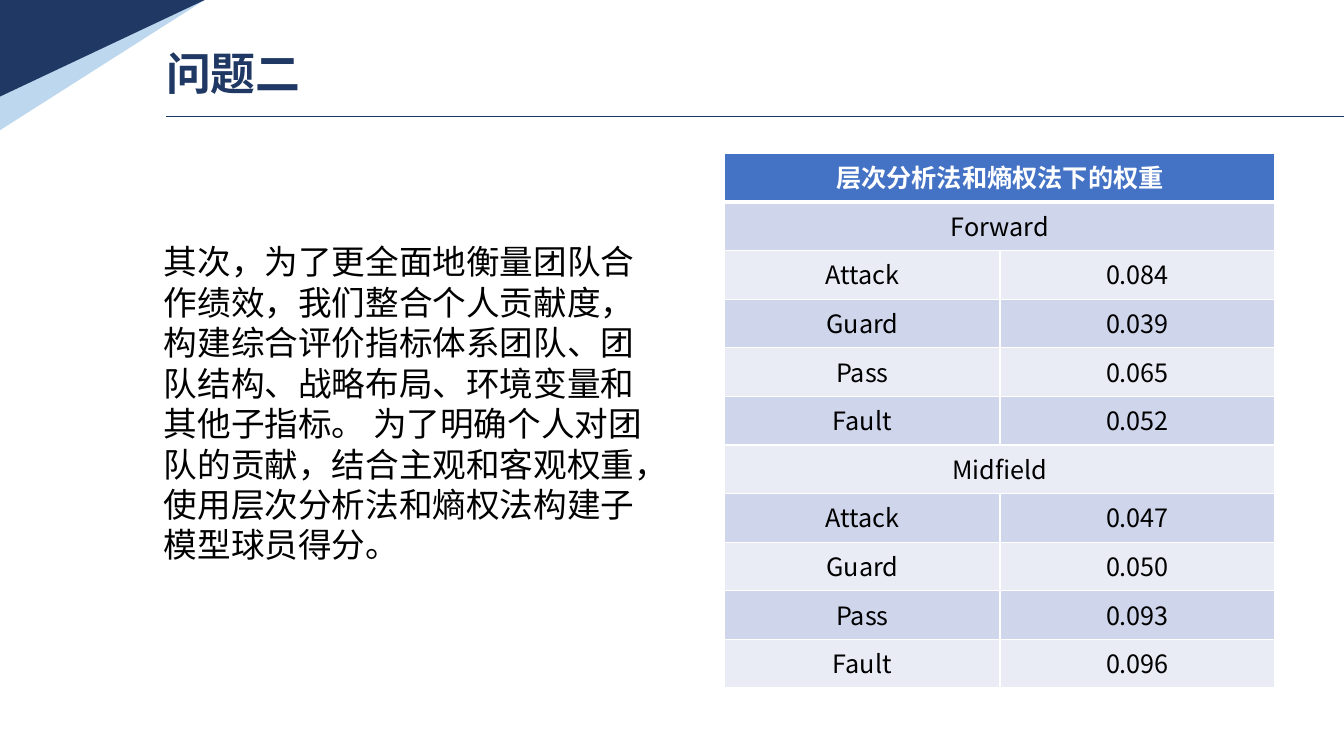
import dataclasses

import lxml.etree
import pptx
import pptx.dml.color
import pptx.enum.shapes
import pptx.enum.text
import pptx.oxml.ns
import pptx.util

Pt = pptx.util.Pt
qn = pptx.oxml.ns.qn

COLORS = {
    "navy": "203864", "sky": "BDD7EE", "header": "4472C4", "band_dark": "CFD5EA",
    "band_light": "E9EBF5", "white": "FFFFFF", "black": "000000",
}
CJK_FONT = "Noto Sans CJK SC"
SLIDE_WIDTH, SLIDE_HEIGHT = 960, 540


@dataclasses.dataclass
class TextStyle:
    size: float
    color: str
    font: str = CJK_FONT
    bold: bool = False


@dataclasses.dataclass
class TextBlock:
    text: str
    left: float
    top: float
    width: float
    height: float
    style: TextStyle
    margin_x: float
    margin_y: float
    line_spacing: object


@dataclasses.dataclass
class Corner:
    width: float
    height: float
    color: str


@dataclasses.dataclass
class WeightGroup:
    position: str
    weights: dict[str, str]


def rgb(name: str) -> pptx.dml.color.RGBColor:
    return pptx.dml.color.RGBColor.from_string(COLORS[name])


def style_paragraph(paragraph, style: TextStyle) -> None:
    for run in paragraph.runs:
        run.font.size = Pt(style.size)
        run.font.name = style.font
        run.font.bold = style.bold
        run.font.color.rgb = rgb(style.color)
        east_asian = lxml.etree.Element(qn("a:ea"), typeface=CJK_FONT)
        run.font._element.find(qn("a:latin")).addnext(east_asian)


def add_corner(slide, corner: Corner) -> None:
    builder = slide.shapes.build_freeform(0, 0)
    builder.add_line_segments([(Pt(corner.width), 0), (0, Pt(corner.height))], close=True)
    shape = builder.convert_to_shape()
    shape.shadow.inherit = False
    shape.fill.solid()
    shape.fill.fore_color.rgb = rgb(corner.color)
    shape.line.fill.background()


def add_rule(slide, left: float, right: float, top: float) -> None:
    connector = slide.shapes.add_connector(
        pptx.enum.shapes.MSO_CONNECTOR.STRAIGHT, Pt(left), Pt(top), Pt(right), Pt(top))
    connector.line.color.rgb = rgb("navy")
    connector.line.width = Pt(1)
    lxml.etree.SubElement(connector._element.spPr, qn("a:effectLst"))


def add_text(slide, block: TextBlock) -> None:
    box = slide.shapes.add_textbox(
        Pt(block.left), Pt(block.top), Pt(block.width), Pt(block.height))
    frame = box.text_frame
    frame.word_wrap = True
    frame.margin_left = frame.margin_right = Pt(block.margin_x)
    frame.margin_top = frame.margin_bottom = Pt(block.margin_y)
    frame.text = block.text
    paragraph = frame.paragraphs[0]
    paragraph.line_spacing = block.line_spacing
    style_paragraph(paragraph, block.style)


def set_borders(cell, bottom_width: float) -> None:
    properties = cell._tc.get_or_add_tcPr()
    widths = {"a:lnL": 1, "a:lnR": 1, "a:lnT": 1, "a:lnB": bottom_width}
    for index, (tag, width) in enumerate(widths.items()):
        border = lxml.etree.Element(qn(tag), w=str(Pt(width)))
        fill = lxml.etree.SubElement(border, qn("a:solidFill"))
        lxml.etree.SubElement(fill, qn("a:srgbClr"), val=COLORS["white"])
        properties.insert(index, border)


def add_weight_table(slide, title: str, groups: list[WeightGroup]) -> None:
    rows = [(title,)]
    for group in groups:
        rows.append((group.position,))
        rows.extend(group.weights.items())
    row_height, column_width = 34.75, 196.5
    table = slide.shapes.add_table(
        len(rows), 2, Pt(517.75), Pt(109.5),
        Pt(2 * column_width), Pt(len(rows) * row_height)).table
    for column in table.columns:
        column.width = Pt(column_width)
    for row_index, values in enumerate(rows):
        table.rows[row_index].height = Pt(row_height)
        is_header = row_index == 0
        band = "header" if is_header else ("band_light", "band_dark")[row_index % 2]
        style = TextStyle(18, "white" if is_header else "black", bold=is_header)
        for column_index in range(2):
            cell = table.cell(row_index, column_index)
            cell.fill.solid()
            cell.fill.fore_color.rgb = rgb(band)
            set_borders(cell, 3 if is_header else 1)
        if len(values) == 1:
            table.cell(row_index, 0).merge(table.cell(row_index, 1))
        for column_index, value in enumerate(values):
            frame = table.cell(row_index, column_index).text_frame
            frame.text = value
            frame.paragraphs[0].alignment = pptx.enum.text.PP_ALIGN.CENTER
            style_paragraph(frame.paragraphs[0], style)


presentation = pptx.Presentation()
presentation.slide_width = Pt(SLIDE_WIDTH)
presentation.slide_height = Pt(SLIDE_HEIGHT)
slide = presentation.slides.add_slide(presentation.slide_layouts[6])
slide.background.fill.solid()
slide.background.fill.fore_color.rgb = rgb("white")

# Corner decoration and title rule
for corner in (Corner(146.25, 93, "sky"), Corner(146.25, 69, "navy")):
    add_corner(slide, corner)
add_rule(slide, 118.75, SLIDE_WIDTH, 83.25)

# Title and body text
add_text(slide, TextBlock(
    "问题二", 110, 33, 204.5, 50, TextStyle(32, "navy", bold=True), 8.64, 4.32, 0.9))
add_text(slide, TextBlock(
    "其次，为了更全面地衡量团队合作绩效，我们整合个人贡献度，"
    "构建综合评价指标体系团队、团队结构、战略布局、环境变量和其他子指标。 "
    "为了明确个人对团队的贡献，结合主观和客观权重，"
    "使用层次分析法和熵权法构建子模型球员得分。",
    110, 168.5, 370, 240, TextStyle(24, "black", "Roboto"), 7.2, 3.6, Pt(28.9)))

# Weight table
add_weight_table(slide, "层次分析法和熵权法下的权重", [
    WeightGroup("Forward", {
        "Attack": "0.084", "Guard": "0.039", "Pass": "0.065", "Fault": "0.052"}),
    WeightGroup("Midfield", {
        "Attack": "0.047", "Guard": "0.050", "Pass": "0.093", "Fault": "0.096"}),
])

presentation.save("out.pptx")
